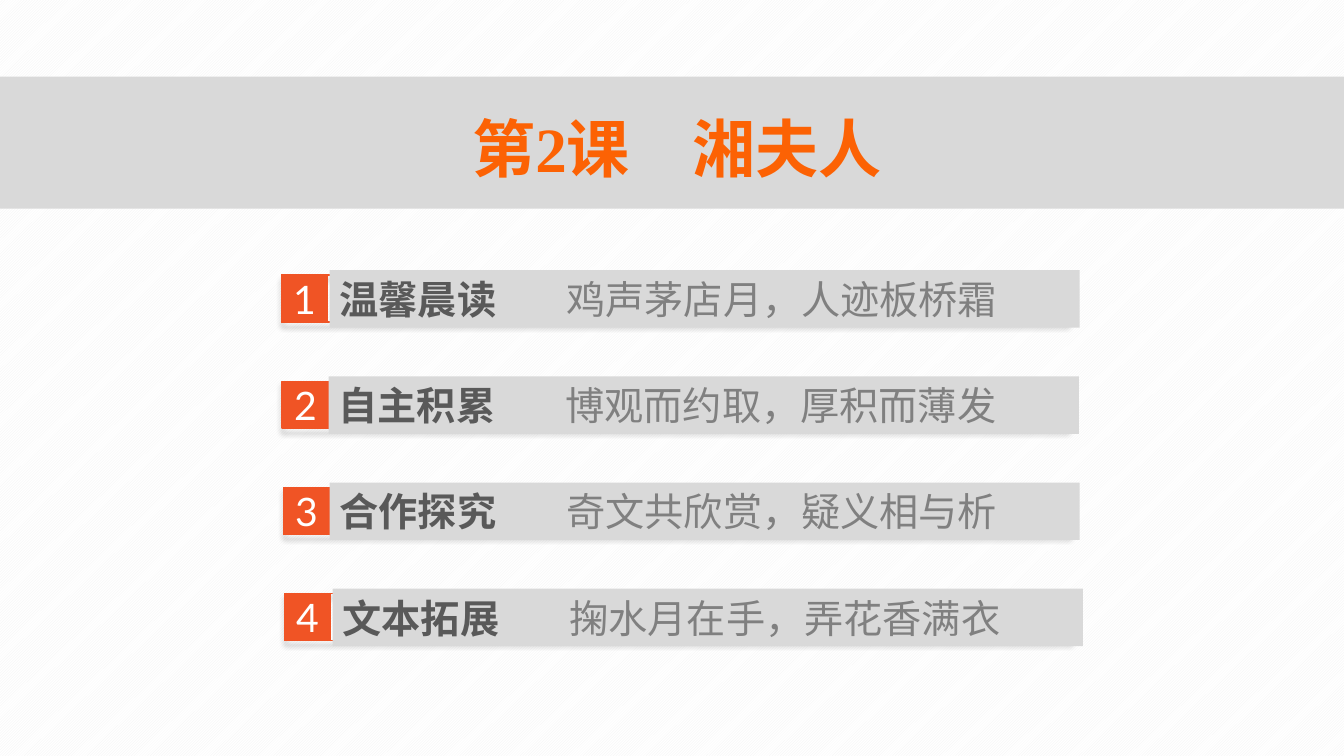
from dataclasses import dataclass

from lxml import etree
from pptx import Presentation
from pptx import util as u
from pptx.dml.color import RGBColor
from pptx.enum import dml, shapes, text
from pptx.oxml.ns import qn

WIDTH, HEIGHT = u.Inches(13.33), u.Inches(7.5)
ROW_TOP, BAR_TOP, ROW_PITCH = 36.4, 35.75, 14.04
ROW_HEIGHT, BAR_HEIGHT = 6.2, 7.6
FRAME_WIDTH, BADGE_WIDTH, BAR_WIDTH = 58.44, 3.45, 55.81
WHITE = RGBColor(0xFF, 0xFF, 0xFF)
STRIPE = RGBColor(0xF2, 0xF2, 0xF2)
PANEL = RGBColor(0xD9, 0xD9, 0xD9)
ACCENT = RGBColor(0xF0, 0x54, 0x25)
TITLE = RGBColor(0xFC, 0x62, 0x04)
HEADING = RGBColor(0x59, 0x59, 0x59)
VERSE = RGBColor(0x80, 0x80, 0x80)
CJK = "Noto Sans CJK SC"


@dataclass
class Section:
    """A numbered section, with left edges in percent of the slide width."""
    heading: str
    verse: str
    left: float
    bar_left: float


SECTIONS = [
    Section("温馨晨读", "鸡声茅店月，人迹板桥霜", 20.93, 24.53),
    Section("自主积累", "博观而约取，厚积而薄发", 21, 24.46),
    Section("合作探究", "奇文共欣赏，疑义相与析", 21.08, 24.53),
    Section("文本拓展", "掬水月在手，弄花香满衣", 21.16, 24.76),
]


def box(x: float, y: float, w: float, h: float) -> tuple:
    """Turn percentages of the slide into left, top, width and height."""
    return (int(WIDTH * x / 100), int(HEIGHT * y / 100),
            int(WIDTH * w / 100), int(HEIGHT * h / 100))


def add_rect(parent, area: tuple, fill=None, line=None):
    """Draw a flat rectangle."""
    sp = parent.add_shape(shapes.MSO_SHAPE.RECTANGLE, *area)
    sp.shadow.inherit = False
    if fill is None:
        sp.fill.background()
    else:
        sp.fill.solid()
        sp.fill.fore_color.rgb = fill
    if line is None:
        sp.line.fill.background()
    else:
        sp.line.color.rgb = line
        sp.line.width = u.Pt(1)
    return sp


def add_shadow(sp) -> None:
    """Give a shape a soft shadow below it."""
    effects = sp.element.spPr.find(qn("a:effectLst"))
    shadow = etree.SubElement(effects, qn("a:outerShdw"), blurRad=str(u.Pt(4)),
                              dist=str(u.Pt(3)), dir="5400000", rotWithShape="0")
    color = etree.SubElement(shadow, qn("a:srgbClr"), val="000000")
    etree.SubElement(color, qn("a:alpha"), val="40000")


def prepare(tf, inset: float, wrap: bool) -> None:
    """Centre a frame's text vertically and set its side insets."""
    tf.auto_size = text.MSO_AUTO_SIZE.NONE
    tf.vertical_anchor = text.MSO_ANCHOR.MIDDLE
    tf.word_wrap = wrap
    tf.margin_top = tf.margin_bottom = 0
    tf.margin_left = tf.margin_right = u.Inches(inset)


def style(r, font: str, size: float, color: RGBColor, bold: bool = False) -> None:
    """Format a run, with a matching face for Chinese characters."""
    r.font.name, r.font.size, r.font.bold = font, u.Pt(size), bold
    r.font.color.rgb = color
    latin = r.font._element.find(qn("a:latin"))
    latin.addnext(etree.Element(qn("a:ea"), typeface=CJK))


def add_section(s, index: int, section: Section) -> None:
    """Draw one section: shadowed frame, number badge and text bar."""
    group = s.shapes.add_group_shape().shapes
    top = ROW_TOP + index * ROW_PITCH
    frame = add_rect(group, box(section.left, top, FRAME_WIDTH, ROW_HEIGHT), line=ACCENT)
    add_shadow(frame)

    badge = add_rect(group, box(section.left, top, BADGE_WIDTH, ROW_HEIGHT), ACCENT, ACCENT)
    prepare(badge.text_frame, 0, False)
    p = badge.text_frame.paragraphs[0]
    p.text = str(index + 1)
    p.alignment = text.PP_ALIGN.CENTER
    style(p.runs[0], "Lato", 28, WHITE)

    bar_top = BAR_TOP + index * ROW_PITCH
    bar = add_rect(group, box(section.bar_left, bar_top, BAR_WIDTH, BAR_HEIGHT), PANEL)
    prepare(bar.text_frame, 0.1, True)
    p = bar.text_frame.paragraphs[0]
    p.alignment = text.PP_ALIGN.LEFT
    tabs = etree.SubElement(p._p.get_or_add_pPr(), qn("a:tabLst"))
    etree.SubElement(tabs, qn("a:tab"), pos=str(u.Inches(2.25)), algn="l")
    for words, color, bold in ((section.heading + "\t", HEADING, True),
                               (section.verse, VERSE, False)):
        r = p.add_run()
        r.text = words
        style(r, CJK, 28, color, bold)


def add_title(s) -> None:
    """Place the lesson title on its band."""
    add_rect(s.shapes, box(0, 10.13, 100, 17.47), PANEL)
    title = s.shapes.title
    s.shapes.element.append(title.element)
    title.left, title.top, title.width, title.height = box(21.53, 14, 57.69, 10.93)
    prepare(title.text_frame, 0.1, True)
    p = title.text_frame.paragraphs[0]
    p.text = "第2课\u3000湘夫人".replace("\u3000", "　")
    p.alignment = text.PP_ALIGN.CENTER
    p.space_before = u.Pt(0)
    style(p.runs[0], "Times New Roman", 45, TITLE, True)


def main() -> None:
    """Build and save the slide."""
    prs = Presentation()
    prs.slide_width, prs.slide_height = WIDTH, HEIGHT
    s = prs.slides.add_slide(prs.slide_layouts[5])
    fill = s.background.fill
    fill.patterned()
    fill.pattern = dml.MSO_PATTERN.LIGHT_UPWARD_DIAGONAL
    fill.fore_color.rgb, fill.back_color.rgb = STRIPE, WHITE
    add_title(s)
    for index, section in enumerate(SECTIONS):
        add_section(s, index, section)
    prs.save("out.pptx")


if __name__ == "__main__":
    main()
